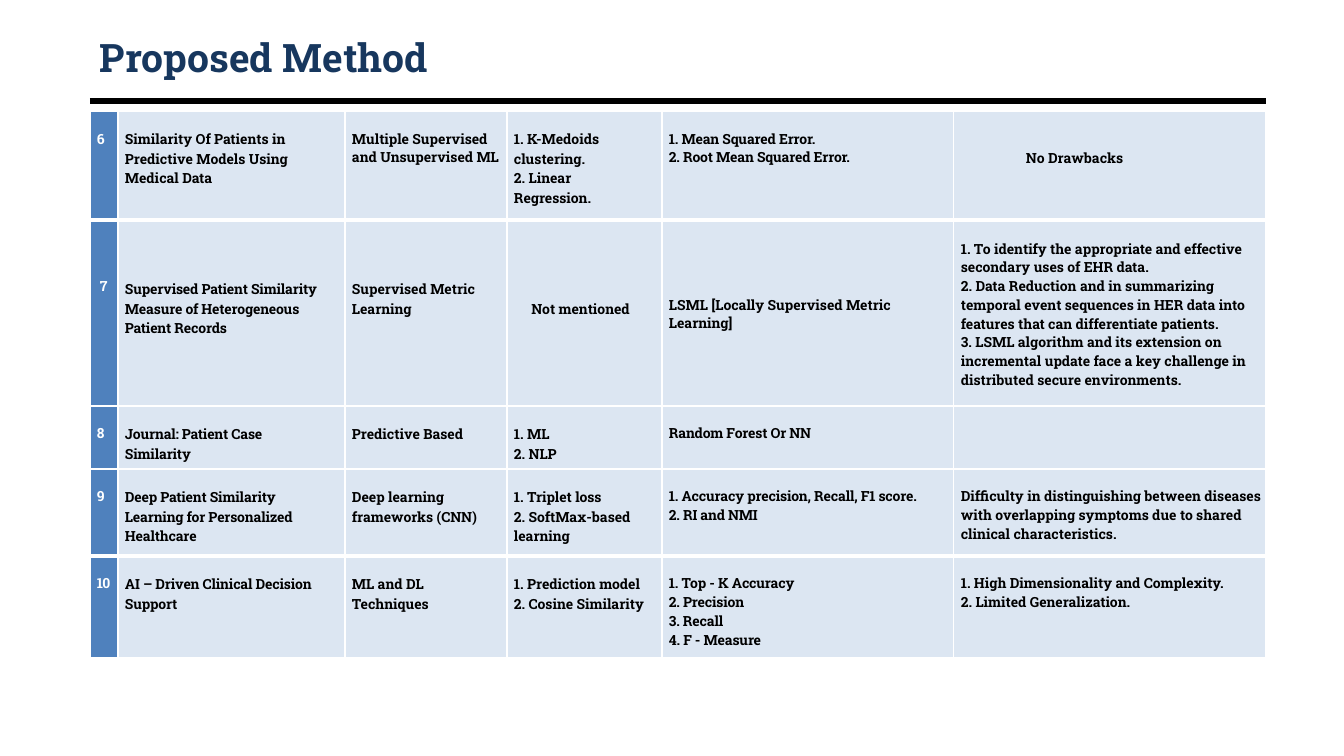
"""Build the Proposed Method slide with its comparison table of patient similarity studies."""
from dataclasses import dataclass

from lxml.etree import SubElement
from pptx import Presentation
from pptx.dml.color import RGBColor
from pptx.enum.shapes import MSO_CONNECTOR
from pptx.enum.text import MSO_ANCHOR, PP_ALIGN
from pptx.oxml.ns import qn
from pptx.util import Emu, Pt


@dataclass(frozen=True)
class Theme:
    font: str = "Roboto Slab"
    title: str = "17375E"
    rule: str = "000000"
    text: str = "000000"
    white: str = "FFFFFF"
    number_fill: str = "4F81BD"
    cell_fill: str = "DCE6F2"
    title_size: int = 28
    body_size: int = 10


def px(length):
    return Emu(round(length * 914400 / 100.8))


def write_text(frame, text, size=10, color="000000", align=PP_ALIGN.LEFT, line_spacing=None, tracking=0):
    for index, line in enumerate(text.split("\n")):
        paragraph = frame.add_paragraph() if index else frame.paragraphs[0]
        paragraph.alignment = align
        paragraph.line_spacing = line_spacing
        run = paragraph.add_run()
        run.text = line
        run.font.name = theme.font
        run.font.size = Pt(size)
        run.font.bold = True
        run.font.color.rgb = RGBColor.from_string(color)
        if tracking:
            run.font._element.set("spc", str(round(tracking * 100)))


theme = Theme()
presentation = Presentation()
presentation.slide_width = px(1344)
presentation.slide_height = px(756)
slide = presentation.slides.add_slide(presentation.slide_layouts[6])

left, width = 90, 1176
rule = slide.shapes.add_connector(MSO_CONNECTOR.STRAIGHT, px(left), px(101), px(left + width), px(101))
rule.line.color.rgb = RGBColor.from_string(theme.rule)
rule.line.width = Pt(4.5)
SubElement(rule._element.spPr, qn("a:effectLst"))

title = slide.shapes.add_textbox(px(left), px(30), px(width), px(54))
title.text_frame.word_wrap = True
title.text_frame.vertical_anchor = MSO_ANCHOR.MIDDLE
write_text(title.text_frame, "Proposed Method", size=theme.title_size, color=theme.title)

studies = [
    ["6", "Similarity Of Patients in Predictive Models Using Medical Data",
     "Multiple Supervised and Unsupervised ML",
     "1. K-Medoids clustering.\n2. Linear Regression.",
     "1. Mean Squared Error.\n2. Root Mean Squared Error.", "No Drawbacks"],
    ["7", "Supervised Patient Similarity Measure of Heterogeneous Patient Records",
     "Supervised Metric Learning", "Not mentioned",
     "LSML [Locally Supervised Metric Learning]",
     "1. To identify the appropriate and effective secondary uses of EHR data.\n"
     "2. Data Reduction and in summarizing temporal event sequences in HER data into "
     "features that can differentiate patients.\n"
     "3. LSML algorithm and its extension on incremental update face a key challenge in "
     "distributed secure environments."],
    ["8", "Journal: Patient Case Similarity", "Predictive Based",
     "1. ML\n2. NLP", "Random Forest Or NN", ""],
    ["9", "Deep Patient Similarity Learning for Personalized Healthcare",
     "Deep learning frameworks (CNN)",
     "1. Triplet loss\n2. SoftMax-based learning",
     "1. Accuracy precision, Recall, F1 score.\n2. RI and NMI",
     "Difficulty in distinguishing between diseases with overlapping symptoms due to "
     "shared clinical characteristics."],
    ["10", "AI – Driven Clinical Decision Support", "ML and DL Techniques",
     "1. Prediction model\n2. Cosine Similarity",
     "1. Top - K Accuracy\n2. Precision\n3. Recall\n4. F - Measure",
     "1. High Dimensionality and Complexity.\n2. Limited Generalization."],
]
column_widths = [28, 227, 162, 155, 292, 312]
row_heights = [109, 186, 63, 87, 102]
exact, loose = Pt(13.4), 1.07
column_spacing = [exact, loose, loose, loose, exact, exact]
column_tracking = [-0.5, -0.1, 0, 0, -0.1, 0]
column_right = [0, 20, 5, 15, 0, 0]
default_top, default_left = 18, 7
cell_top = {(0, 5): 37, (1, 0): 56, (1, 1): 59, (1, 2): 59, (1, 3): 79, (1, 4): 75, (1, 5): 19}
cell_left = {(0, 5): 72, (1, 0): 10}
cell_spacing = {(0, 2): exact}
cell_tracking = {(0, 1): 0, (1, 4): 0}
cell_align = {(1, 3): PP_ALIGN.CENTER}
cell_right = {(2, 1): 30}
thick_boundaries = {1, 4}

table = slide.shapes.add_table(
    len(studies), len(column_widths), px(left), px(111), px(width), px(sum(row_heights))
).table
table.first_row = False
table.horz_banding = False
for column, column_width in zip(table.columns, column_widths):
    column.width = px(column_width)
for row, row_height in zip(table.rows, row_heights):
    row.height = px(row_height)

for row_index, study in enumerate(studies):
    for column_index, text in enumerate(study):
        place = (row_index, column_index)
        is_number = column_index == 0
        cell = table.cell(row_index, column_index)
        cell.margin_left = px(cell_left.get(place, default_left))
        cell.margin_top = px(cell_top.get(place, default_top))
        cell.margin_right = px(cell_right.get(place, column_right[column_index]))
        cell.margin_bottom = 0

        properties = cell._tc.get_or_add_tcPr()
        border_widths = {
            "a:lnL": 1,
            "a:lnR": 1,
            "a:lnT": 3 if row_index in thick_boundaries else 1,
            "a:lnB": 3 if row_index + 1 in thick_boundaries else 1,
        }
        for tag, border_width in border_widths.items():
            border = SubElement(properties, qn(tag), w=str(Pt(border_width)))
            SubElement(SubElement(border, qn("a:solidFill")), qn("a:srgbClr"), val=theme.white)
        cell.fill.solid()
        cell.fill.fore_color.rgb = RGBColor.from_string(theme.number_fill if is_number else theme.cell_fill)

        if text:
            write_text(
                cell.text_frame, text,
                size=theme.body_size,
                color=theme.white if is_number else theme.text,
                align=cell_align.get(place, PP_ALIGN.LEFT),
                line_spacing=cell_spacing.get(place, column_spacing[column_index]),
                tracking=cell_tracking.get(place, column_tracking[column_index]),
            )

presentation.save("out.pptx")
